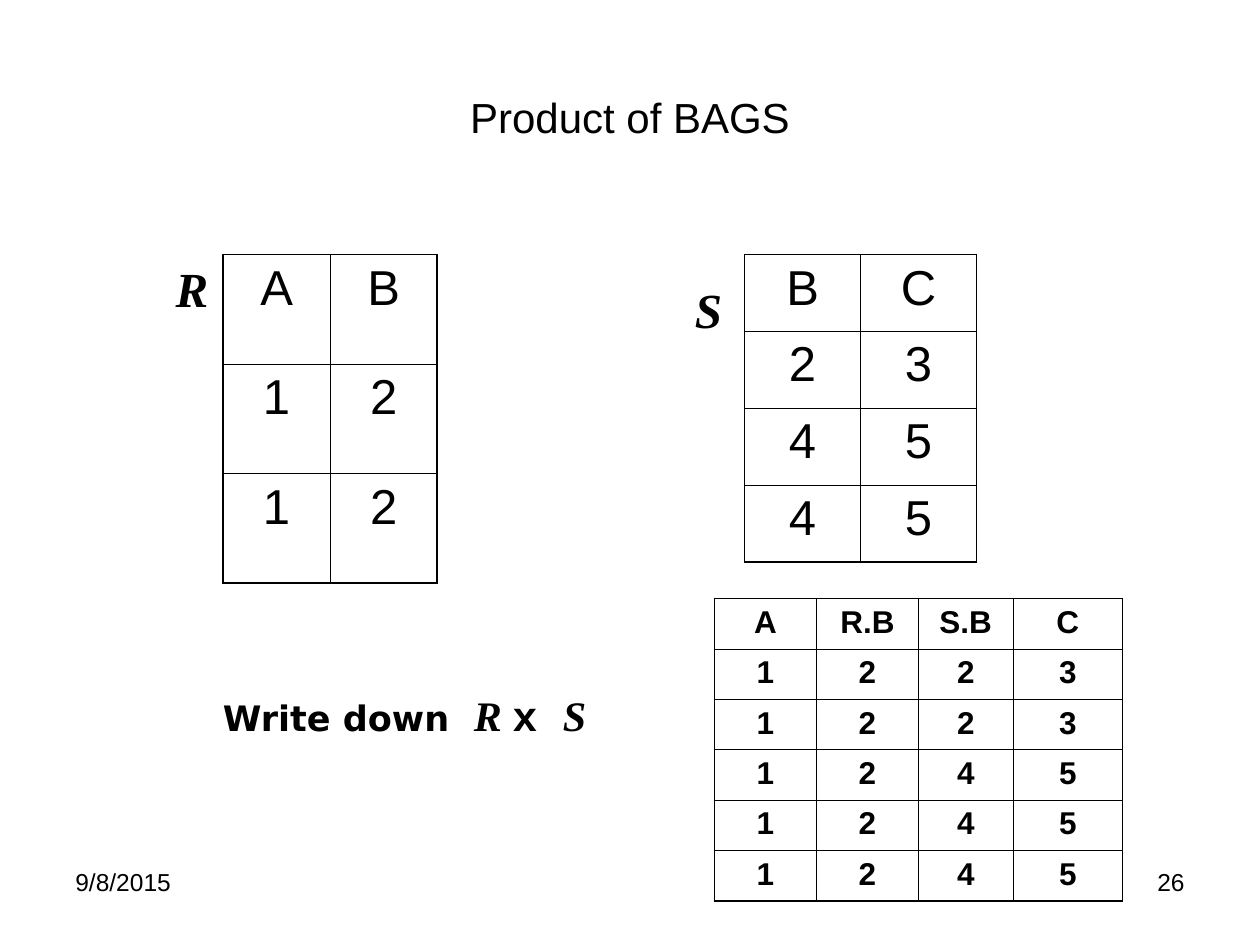
from dataclasses import dataclass

from lxml import etree
from pptx import Presentation
from pptx.dml.color import RGBColor
from pptx.enum.text import MSO_ANCHOR, MSO_AUTO_SIZE, PP_ALIGN
from pptx.oxml.ns import qn
from pptx.util import Inches, Pt

LEFT, CENTER, RIGHT = PP_ALIGN.LEFT, PP_ALIGN.CENTER, PP_ALIGN.RIGHT
MIDDLE = MSO_ANCHOR.MIDDLE
GROW = MSO_AUTO_SIZE.SHAPE_TO_FIT_TEXT
TITLE_ONLY = 5
BLACK = "000000"
OUTER_LINE, INNER_LINE = 1.08, 0.45


@dataclass
class Span:
    text: str
    size: float
    font: str = "Arial"
    bold: bool = False
    italic: bool = False


@dataclass
class Label:
    left: float
    top: float
    width: float
    height: float
    spans: list[Span]
    align: PP_ALIGN = LEFT
    space_before: float = 0
    grow: bool = False


@dataclass
class Relation:
    left: float
    top: float
    columns: list[float]
    row_height: float
    rows: list[str]
    size: float
    bold: bool = False


def color(value: str) -> RGBColor:
    return RGBColor.from_string(value)


def add_span(para, span: Span) -> None:
    run = para.add_run()
    run.text = span.text
    run.font.size = Pt(span.size)
    run.font.name = span.font
    run.font.bold = span.bold
    run.font.italic = span.italic
    run.font.color.rgb = color(BLACK)


def add_label(page, label: Label) -> None:
    box = page.shapes.add_textbox(
        Inches(label.left), Inches(label.top), Inches(label.width), Inches(label.height)
    )
    frame = box.text_frame
    frame.word_wrap = True
    if label.grow:
        frame.auto_size = GROW
    para = frame.paragraphs[0]
    para.alignment = label.align
    para.space_before = Pt(label.space_before)
    for span in label.spans:
        add_span(para, span)


def set_border(cell, side: str, width: float) -> None:
    line = etree.SubElement(cell._tc.get_or_add_tcPr(), qn(f"a:ln{side}"), w=str(Pt(width)))
    fill = etree.SubElement(line, qn("a:solidFill"))
    etree.SubElement(fill, qn("a:srgbClr"), val=BLACK)


def add_relation(page, relation: Relation) -> None:
    row_count, column_count = len(relation.rows), len(relation.columns)
    table = page.shapes.add_table(
        row_count,
        column_count,
        Inches(relation.left),
        Inches(relation.top),
        Inches(sum(relation.columns)),
        Inches(relation.row_height * row_count),
    ).table
    table.first_row = False
    table.horz_banding = False
    for column, width in zip(table.columns, relation.columns):
        column.width = Inches(width)
    for row_index, values in enumerate(relation.rows):
        table.rows[row_index].height = Inches(relation.row_height)
        for column_index, value in enumerate(values.split()):
            cell = table.cell(row_index, column_index)
            outer_sides = {
                "L": column_index == 0,
                "R": column_index == column_count - 1,
                "T": row_index == 0,
                "B": row_index == row_count - 1,
            }
            for side, is_outer in outer_sides.items():
                set_border(cell, side, OUTER_LINE if is_outer else INNER_LINE)
            cell.fill.background()
            para = cell.text_frame.paragraphs[0]
            para.alignment = CENTER
            para.space_before = Pt(relation.size / 4)
            add_span(para, Span(value, relation.size, bold=relation.bold))


def add_title(page, span: Span) -> None:
    title = page.shapes.title
    title.left, title.top = Inches(0.5), Inches(0.3)
    title.width, title.height = Inches(9), Inches(1.25)
    title.text_frame.vertical_anchor = MIDDLE
    para = title.text_frame.paragraphs[0]
    para.alignment = CENTER
    add_span(para, span)


def relation_name(name: str) -> Span:
    return Span(name, 28, "Times New Roman", bold=True, italic=True)


RELATIONS = [
    Relation(1.77, 2.02, [0.85] * 2, 0.87, ["A B", "1 2", "1 2"], 28),
    Relation(5.91, 2.02, [0.92] * 2, 0.61, ["B C", "2 3", "4 5", "4 5"], 28),
    Relation(
        5.67,
        4.75,
        [0.81, 0.81, 0.75, 0.87],
        0.4,
        ["A R.B S.B C"] + ["1 2 2 3"] * 2 + ["1 2 4 5"] * 3,
        18,
        bold=True,
    ),
]

TASK = [
    Span("Write down  ", 20, "DejaVu Sans", bold=True),
    Span("R ", 24, "Times New Roman", bold=True, italic=True),
    Span("x ", 24, "Courier New", bold=True),
    Span("S", 24, "Times New Roman", bold=True, italic=True),
]

LABELS = [
    Label(1.17, 2, 0.58, 0.57, [relation_name("R")], RIGHT, 17.5, grow=True),
    Label(5.25, 2.17, 0.58, 0.57, [relation_name("S")], RIGHT, 17.5, grow=True),
    Label(1.67, 5.42, 3.33, 0.5, TASK, space_before=6, grow=True),
    Label(7.17, 6.83, 2.33, 0.52, [Span("26", 14)], RIGHT),
    Label(0.5, 6.83, 2.33, 0.52, [Span("9/8/2015", 14)]),
]


def main() -> None:
    deck = Presentation()
    deck.slide_width, deck.slide_height = Inches(10), Inches(7.5)
    page = deck.slides.add_slide(deck.slide_layouts[TITLE_ONLY])
    add_title(page, Span("Product of BAGS", 24))
    for relation in RELATIONS:
        add_relation(page, relation)
    for label in LABELS:
        add_label(page, label)
    deck.save("out.pptx")


if __name__ == "__main__":
    main()
